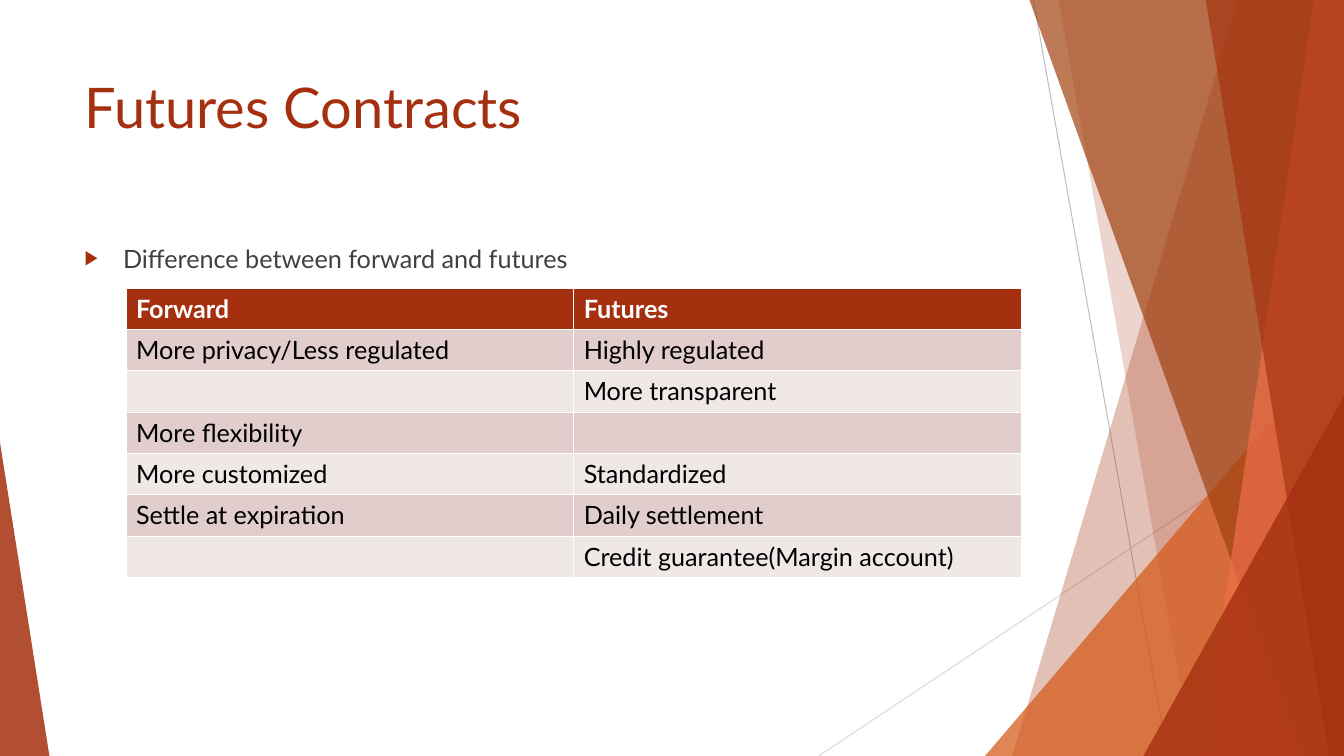
from dataclasses import dataclass

from lxml import etree
from pptx import Presentation
from pptx import util as u
from pptx.dml.color import RGBColor
from pptx.enum import shapes, text
from pptx.oxml.ns import qn

TITLE = "Futures Contracts"
BULLET = "Difference between forward and futures"
COMPARISON = [
    ("Forward", "Futures"),
    ("More privacy/Less regulated", "Highly regulated"),
    ("", "More transparent"),
    ("More flexibility", ""),
    ("More customized", "Standardized"),
    ("Settle at expiration", "Daily settlement"),
    ("", "Credit guarantee(Margin account)"),
]


@dataclass(frozen=True)
class Theme:
    font: str = "Lato"
    title_size: int = 40
    text_size: int = 18
    rust: str = "A5300F"
    orange: str = "D55816"
    brown: str = "A04210"
    coral: str = "EE6E4A"
    body: str = "404040"
    black: str = "000000"
    white: str = "FFFFFF"
    bands: tuple = ("F0E8E7", "E1CDCC")
    hairline: float = 0.75


THEME = Theme()
WIDTH, HEIGHT = 13.33, 7.5
LEFT, TEXT_WIDTH = 0.74, 9.4
TABLE_LEFT, TABLE_TOP, COLUMN, ROW = 1.25, 2.86, 4.44, 0.41

# start x, start y, end x, end y, colour
HAIRLINES = [
    (10.25, 0, 11.58, HEIGHT, "BFBFBF"),
    (WIDTH, 4.03, 8.12, HEIGHT, "D9D9D9"),
]
# Bands reach the right edge: left x at the top, left x at the bottom, colour, opacity.
# Triangles stand on the bottom edge: left, width, height, apex share, colour, opacity.
FACETS = [
    ("band", 12.28, 10.04, THEME.rust, 30),
    ("band", 10.5, 11.83, THEME.rust, 20),
    ("triangle", 9.77, 3.56, 4.17, 1, THEME.orange, 72),
    ("band", 10.21, 12.91, THEME.brown, 70),
    ("band", 13.03, 11.92, THEME.coral, 70),
    ("band", 11.96, 13.18, THEME.rust, 65),
    ("triangle", 11.34, 1.99, 3.57, 1, THEME.rust, 80),
    ("triangle", 0, 0.49, 3.11, 0, THEME.rust, 85),
]


def rgb(colour):
    return RGBColor.from_string(colour)


def add_hairline(slide, x1, y1, x2, y2, colour):
    line = slide.shapes.add_connector(
        shapes.MSO_CONNECTOR.STRAIGHT, *map(u.Inches, (x1, y1, x2, y2)))
    line.line.color.rgb = rgb(colour)
    line.line.width = u.Pt(THEME.hairline)
    etree.SubElement(line._element.spPr, qn("a:effectLst"))


def add_band(slide, top_x, bottom_x):
    corners = [(top_x, 0), (WIDTH, 0), (WIDTH, HEIGHT), (bottom_x, HEIGHT)]
    points = [(u.Inches(x), u.Inches(y)) for x, y in corners]
    builder = slide.shapes.build_freeform(*points[0])
    builder.add_line_segments(points[1:], close=True)
    return builder.convert_to_shape()


def add_triangle(slide, left, width, height, apex):
    triangle = slide.shapes.add_shape(
        shapes.MSO_SHAPE.ISOSCELES_TRIANGLE,
        *map(u.Inches, (left, HEIGHT - height, width, height)))
    triangle.adjustments[0] = apex
    return triangle


def add_facet(slide, kind, *values):
    *geometry, colour, opacity = values
    shape = {"band": add_band, "triangle": add_triangle}[kind](slide, *geometry)
    shape.shadow.inherit = False
    shape.line.fill.background()
    shape.fill.solid()
    shape.fill.fore_color.rgb = rgb(colour)
    fill_colour = shape._element.spPr.find(qn("a:solidFill"))[0]
    etree.SubElement(fill_colour, qn("a:alpha"), val=str(opacity * 1000))


def style(paragraph, size, colour, bold=False):
    paragraph.alignment = text.PP_ALIGN.LEFT
    font = paragraph.font
    font.name, font.size, font.bold = THEME.font, u.Pt(size), bold
    font.color.rgb = rgb(colour)


def fill_placeholder(slide, placeholder, words, top, height, size, colour):
    """Move the placeholder, bring it to the front and return its paragraph."""
    placeholder.left, placeholder.top = u.Inches(LEFT), u.Inches(top)
    placeholder.width, placeholder.height = u.Inches(TEXT_WIDTH), u.Inches(height)
    frame = placeholder.text_frame
    frame.text = words
    frame.word_wrap = True
    frame.auto_size = text.MSO_AUTO_SIZE.NONE
    frame.vertical_anchor = text.MSO_ANCHOR.TOP
    paragraph = frame.paragraphs[0]
    style(paragraph, size, colour)
    slide.shapes._spTree.append(placeholder._element)
    return paragraph


def add_bullet(paragraph):
    paragraph.space_before = u.Pt(10)
    properties = paragraph._p.get_or_add_pPr()
    properties.set("marL", str(u.Inches(0.38)))
    properties.set("indent", str(-u.Inches(0.38)))
    colour = etree.Element(qn("a:buClr"))
    etree.SubElement(colour, qn("a:srgbClr"), val=THEME.rust)
    bullet = [
        colour,
        etree.Element(qn("a:buSzPct"), val="80000"),
        etree.Element(qn("a:buChar"), char="▶"),
    ]
    position = properties.index(properties.find(qn("a:defRPr")))
    properties[position:position] = bullet


def add_comparison(slide):
    rows, columns = len(COMPARISON), len(COMPARISON[0])
    table = slide.shapes.add_table(rows, columns, *map(
        u.Inches, (TABLE_LEFT, TABLE_TOP, columns * COLUMN, rows * ROW))).table
    for column in table.columns:
        column.width = u.Inches(COLUMN)
    for r, words in enumerate(COMPARISON):
        header = r == 0
        table.rows[r].height = u.Inches(ROW)
        for cell, word in zip(table.rows[r].cells, words):
            cell.text = word
            cell.fill.solid()
            cell.fill.fore_color.rgb = rgb(THEME.rust if header else THEME.bands[r % 2])
            style(cell.text_frame.paragraphs[0], THEME.text_size,
                  THEME.white if header else THEME.black, header)


def main():
    presentation = Presentation()
    presentation.slide_width = u.Inches(WIDTH)
    presentation.slide_height = u.Inches(HEIGHT)
    slide = presentation.slides.add_slide(presentation.slide_layouts[1])
    title, body = slide.placeholders
    for hairline in HAIRLINES:
        add_hairline(slide, *hairline)
    for facet in FACETS:
        add_facet(slide, *facet)
    fill_placeholder(slide, title, TITLE, 0.67, 1.44, THEME.title_size, THEME.rust)
    add_bullet(fill_placeholder(
        slide, body, BULLET, 2.36, 4.24, THEME.text_size, THEME.body))
    add_comparison(slide)
    presentation.save("out.pptx")


if __name__ == "__main__":
    main()
